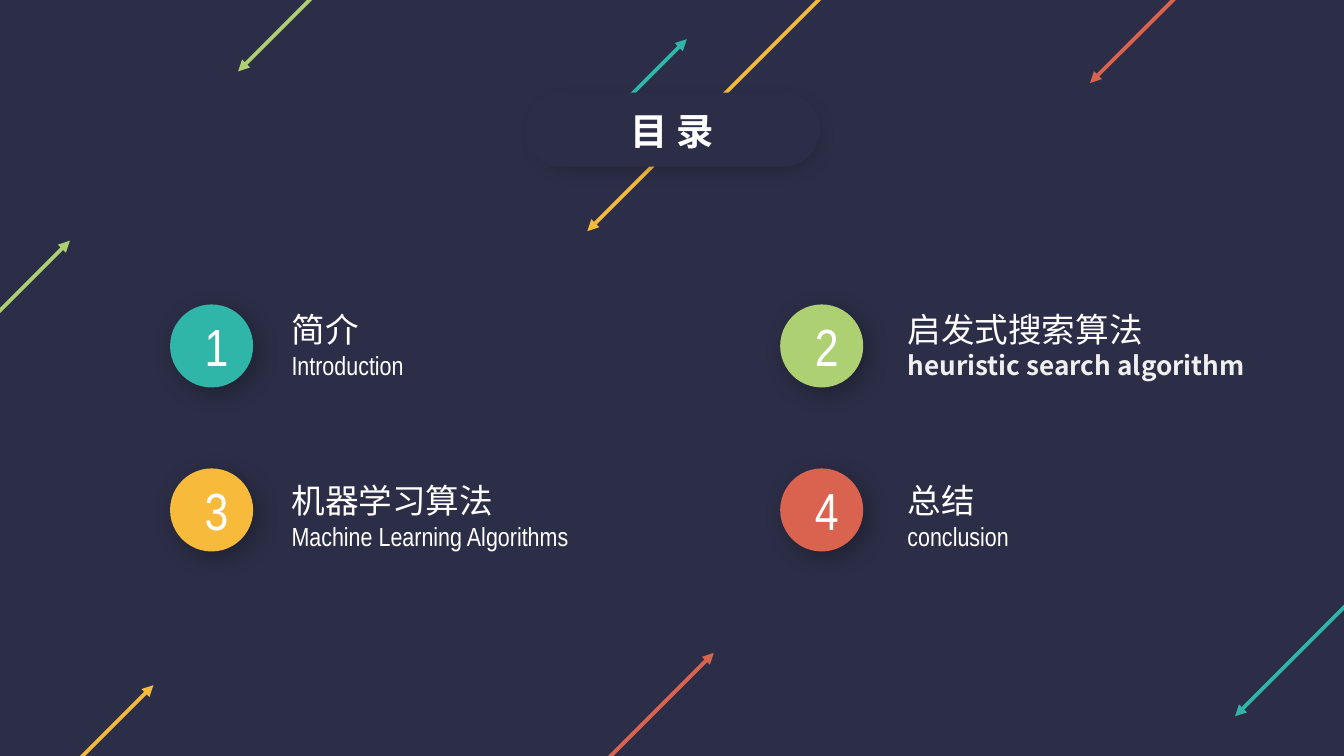
from dataclasses import dataclass

from lxml import etree
from pptx import Presentation
from pptx.dml.color import RGBColor
from pptx.enum.shapes import MSO_CONNECTOR, MSO_SHAPE
from pptx.enum.text import MSO_ANCHOR, MSO_AUTO_SIZE, PP_ALIGN
from pptx.oxml.ns import qn
from pptx.util import Cm, Pt

STRAIGHT = MSO_CONNECTOR.STRAIGHT
OVAL, PILL = MSO_SHAPE.OVAL, MSO_SHAPE.ROUNDED_RECTANGLE
LEFT, CENTER = PP_ALIGN.LEFT, PP_ALIGN.CENTER
TOP = MSO_ANCHOR.TOP
GROW = MSO_AUTO_SIZE.SHAPE_TO_FIT_TEXT

CJK_FONT, LATIN_FONT = "Noto Sans CJK SC", "Arial Narrow"
NAVY, WHITE, PALE = "2C2E47", "FFFFFF", "F0EFEF"
TEAL, GREEN, YELLOW, RED = "2FB6A8", "ADD072", "F7BA3B", "DA634F"


@dataclass
class Arrow:
    """45-degree arrow; its start lies `reach` cm right of and above the tip."""
    tip_x: float
    tip_y: float
    reach: float
    color: str


@dataclass
class Chapter:
    chinese: str
    english: str
    color: str
    label_width: float = 6.81
    english_font: str = LATIN_FONT
    english_color: str = WHITE
    english_bold: bool = False


ARROWS = [
    Arrow(11.1, 4.37, 5.03, YELLOW),
    Arrow(12.98, 0.74, -1.47, TEAL),
    Arrow(4.5, 1.35, 2.21, GREEN),
    Arrow(2.9, 12.95, -2.39, YELLOW),
    Arrow(13.49, 12.34, -2.39, RED),
    Arrow(23.34, 13.54, 2.79, TEAL),
    Arrow(20.6, 1.57, 2.32, RED),
    Arrow(1.32, 4.55, -2.41, GREEN),
]

CHAPTERS = [
    Chapter("简介", "Introduction", TEAL, label_width=5.41),
    Chapter("启发式搜索算法", "heuristic search algorithm", GREEN,
            english_font=CJK_FONT, english_color=PALE, english_bold=True),
    Chapter("机器学习算法", "Machine Learning Algorithms", YELLOW),
    Chapter("总结", "conclusion", RED),
]

# Chapter grid, in cm
BADGE_X, BADGE_Y, BADGE_DX, BADGE_DY = 2.97, 5.51, 11.53, 3.1
LABEL_X, LABEL_Y, LABEL_DX, LABEL_DY = 5.51, 5.72, 11.64, 3.23
RING_SIZE, DISC_SIZE = 2.06, 1.57
DISC_INSET = (RING_SIZE - DISC_SIZE) / 2


def paint(color_format, color: str) -> None:
    color_format.rgb = RGBColor.from_string(color)


def add_shadow(shape) -> None:
    effects = shape.element.spPr.find(qn("a:effectLst"))
    shadow = etree.SubElement(effects, qn("a:outerShdw"), blurRad=str(Pt(12)),
                              dist=str(Pt(4)), dir=str(45 * 60000),
                              algn="tl", rotWithShape="0")
    black = etree.SubElement(shadow, qn("a:srgbClr"), val="000000")
    etree.SubElement(black, qn("a:alpha"), val="30000")


def add_filled(group, kind, x: float, y: float, width: float, height: float,
               color: str, shadow: bool = False) -> None:
    shape = group.shapes.add_shape(kind, Cm(x), Cm(y), Cm(width), Cm(height))
    if kind == PILL:
        shape.adjustments[0] = 0.5
    shape.fill.solid()
    paint(shape.fill.fore_color, color)
    shape.line.fill.background()
    shape.shadow.inherit = False
    if shadow:
        add_shadow(shape)


def write(frame, text: str, *, size: float, font: str, color: str = WHITE,
          bold: bool = False, align=LEFT) -> None:
    """Fill the first paragraph, or add another one after it."""
    first = frame.paragraphs[0]
    paragraph = frame.add_paragraph() if first.runs else first
    paragraph.alignment = align
    run = paragraph.add_run()
    run.text = text
    run.font.size = Pt(size)
    run.font.bold = bold
    run.font.name = font
    paint(run.font.color, color)
    properties = run.font._element
    etree.SubElement(properties, qn("a:ea"), typeface=font)


def add_text_frame(parent, x: float, y: float, width: float, height: float):
    frame = parent.shapes.add_textbox(Cm(x), Cm(y), Cm(width), Cm(height)).text_frame
    frame.word_wrap = True
    frame.auto_size = GROW
    return frame


def draw_arrow(slide, arrow: Arrow) -> None:
    connector = slide.shapes.add_connector(
        STRAIGHT, Cm(arrow.tip_x + arrow.reach), Cm(arrow.tip_y - arrow.reach),
        Cm(arrow.tip_x), Cm(arrow.tip_y))
    connector.line.width = Pt(2)
    paint(connector.line.color, arrow.color)
    properties = connector.element.spPr
    etree.SubElement(properties.find(qn("a:ln")), qn("a:tailEnd"), type="triangle")
    etree.SubElement(properties, qn("a:effectLst"))


def draw_title(slide) -> None:
    banner = slide.shapes.add_group_shape()
    add_filled(banner, PILL, 10.13, 1.91, 5.16, 1.12, "92D050", shadow=True)
    add_filled(banner, PILL, 9.91, 1.75, 5.59, 1.4, NAVY)

    title = slide.shapes.title
    slide.shapes.element.append(title.element)  # bring in front of the banner
    title.left, title.top = Cm(11), Cm(1.91)
    title.width, title.height = Cm(3.4), Cm(1.12)
    title.text_frame.word_wrap = True
    title.text_frame.auto_size = GROW
    title.text_frame.vertical_anchor = TOP
    write(title.text_frame, "目 录", size=20, font=CJK_FONT, bold=True, align=CENTER)


def draw_badge(slide, number: int, column: int, row: int, color: str) -> None:
    x, y = BADGE_X + column * BADGE_DX, BADGE_Y + row * BADGE_DY
    badge = slide.shapes.add_group_shape()
    add_filled(badge, OVAL, x, y, RING_SIZE, RING_SIZE, NAVY)
    add_filled(badge, OVAL, x + DISC_INSET, y + DISC_INSET,
               DISC_SIZE, DISC_SIZE, color, shadow=True)
    frame = add_text_frame(badge, x + 0.65, y + 0.3, 0.79, 1.45)
    write(frame, str(number), size=28, font=LATIN_FONT, align=CENTER)


def draw_label(slide, chapter: Chapter, column: int, row: int) -> None:
    frame = add_text_frame(slide, LABEL_X + column * LABEL_DX,
                           LABEL_Y + row * LABEL_DY, chapter.label_width, 1.63)
    frame.margin_left = 0
    write(frame, chapter.chinese, size=18, font=CJK_FONT)
    write(frame, chapter.english, size=14, font=chapter.english_font,
          color=chapter.english_color, bold=chapter.english_bold)


def main() -> None:
    deck = Presentation()
    deck.slide_width, deck.slide_height = Cm(25.4), Cm(14.29)
    slide = deck.slides.add_slide(deck.slide_layouts[5])  # title only
    slide.background.fill.solid()
    paint(slide.background.fill.fore_color, NAVY)

    # Decorative arrows
    for arrow in ARROWS:
        draw_arrow(slide, arrow)

    # Heading
    draw_title(slide)

    # Numbered chapters, two per row
    for index, chapter in enumerate(CHAPTERS):
        row, column = divmod(index, 2)
        draw_badge(slide, index + 1, column, row, chapter.color)
        draw_label(slide, chapter, column, row)

    deck.save("out.pptx")


if __name__ == "__main__":
    main()
